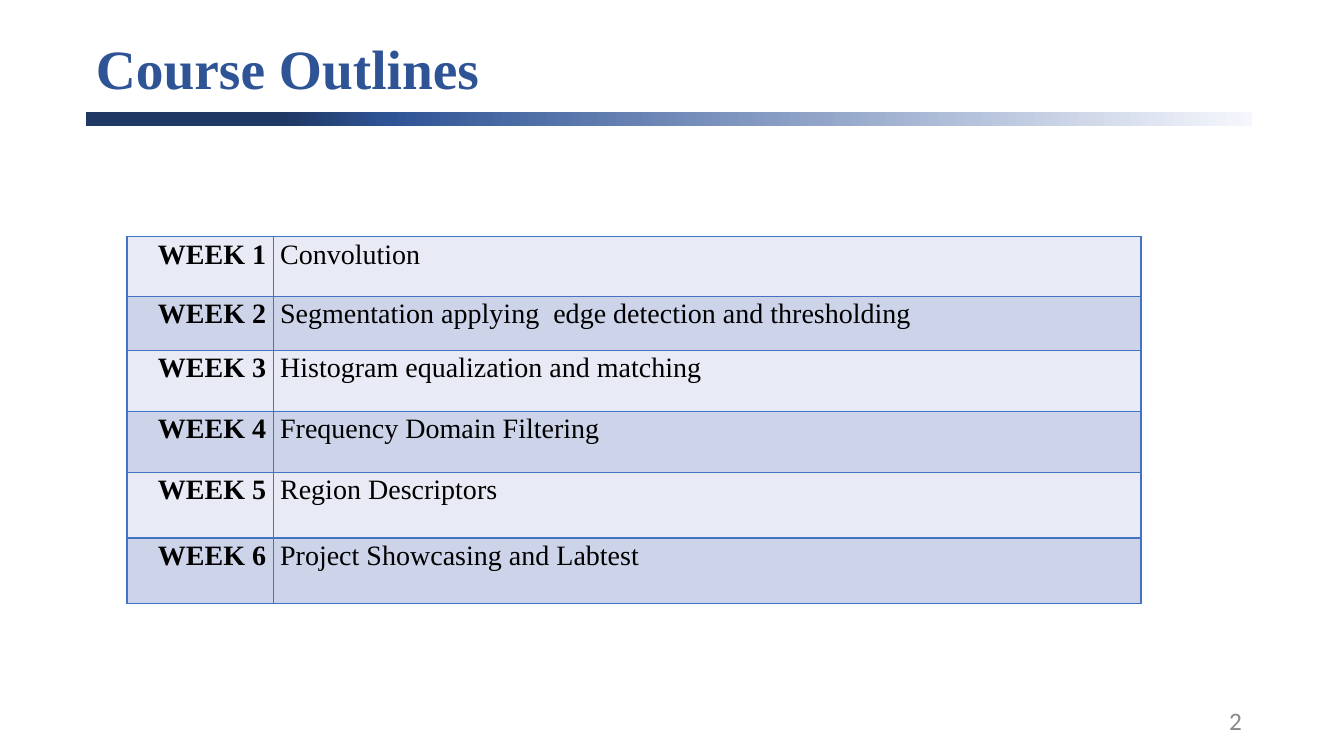
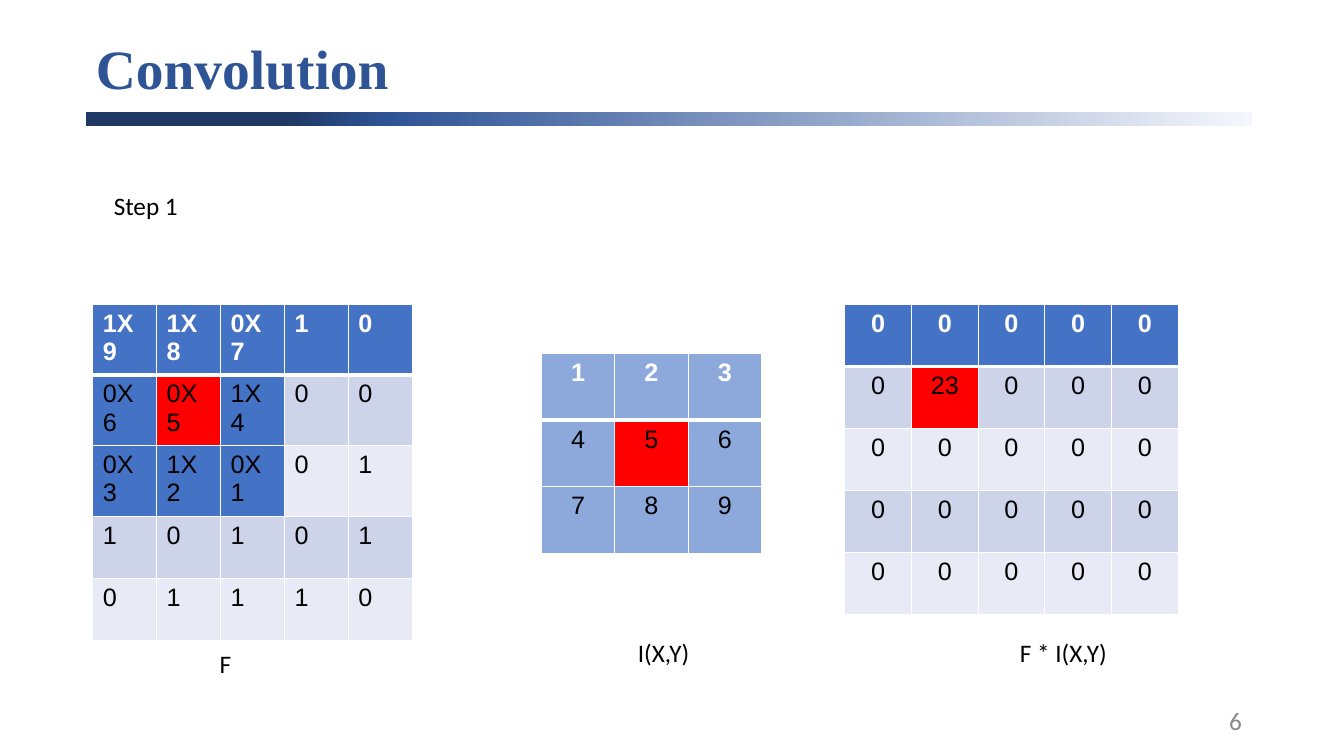
"""Build two slides of an image processing course: outline and convolution step."""
from lxml.etree import SubElement
from pptx import Presentation
from pptx.dml.color import RGBColor as Rgb
from pptx.enum.shapes import MSO_SHAPE as Shape
from pptx.enum.text import MSO_ANCHOR as Anchor, MSO_AUTO_SIZE as Auto, PP_ALIGN as Align
from pptx.oxml.ns import qn
from pptx.util import Inches, Pt

WIDE, HIGH = Inches(13.333), Inches(7.5)
INK = {
    "title": "2F5496", "navy": "1F3864", "haze": "F5F7FC", "blue": "4472C4",
    "sky": "8DA9DB", "light": "E8EBF5", "dark": "CDD4EA", "red": "FF0000",
    "white": "FFFFFF", "black": "000000", "grey": "888888",
}
FADE = [(0, "navy"), (17, "navy"), (26, "title"), (100, "haze")]
WEEKS = [
    "Convolution",
    "Segmentation applying  edge detection and thresholding",
    "Histogram equalization and matching",
    "Frequency Domain Filtering",
    "Region Descriptors",
    "Project Showcasing and Labtest",
]
IMAGE = ["1X9 1X8 0X7 1 0", "0X6 0X5 1X4 0 0", "0X3 1X2 0X1 0 1",
         "1 0 1 0 1", "0 1 1 1 0"]
MASK = ["1 2 3", "4 5 6", "7 8 9"]
ZERO = "0 0 0 0 0"
RESULT = [ZERO, "0 23 0 0 0", ZERO, ZERO, ZERO]


def place(x, y, w, h):
    """Turn percentages of the slide into a box."""
    return (int(WIDE * x / 100), int(HIGH * y / 100),
            int(WIDE * w / 100), int(HIGH * h / 100))


def write(frame, text, face, size, ink="black", bold=False, align=Align.LEFT, gap=None):
    """Put one styled paragraph into a text frame."""
    para = frame.paragraphs[0]
    para.text = text
    para.alignment = align
    para.line_spacing = gap
    font = para.font
    font.name, font.size, font.bold = face, Pt(size), bold
    font.color.rgb = Rgb.from_string(INK[ink])


def label(slide, text, box, ink="black", align=Align.LEFT, anchor=Anchor.TOP):
    """Add a one-line caption."""
    frame = slide.shapes.add_textbox(*place(*box)).text_frame
    frame.word_wrap = False
    frame.vertical_anchor = anchor
    write(frame, text, "Calibri", 18, ink, align=align)


def fade(shape):
    """Fill a shape with the shared colour fade."""
    shape.fill.gradient()
    shape.fill.gradient_angle = 0
    stops = shape.fill._xPr.find(".//" + qn("a:gsLst"))
    for stop in list(stops):
        stops.remove(stop)
    for pos, ink in FADE:
        stop = SubElement(stops, qn("a:gs"), pos=str(pos * 1000))
        SubElement(stop, qn("a:srgbClr"), val=INK[ink])


def begin(deck, title, number):
    """Add a slide with its title, bar and number."""
    slide = deck.slides.add_slide(deck.slide_layouts[5])
    bar = slide.shapes.add_shape(Shape.RECTANGLE, *place(6.38, 14.8, 86.78, 1.87))
    bar.shadow.inherit = False
    bar.line.fill.background()
    fade(bar)
    head = slide.shapes.title
    head.left, head.top, head.width, head.height = place(6.38, 4.8, 86.25, 9.2)
    frame = head.text_frame
    frame.word_wrap, frame.auto_size = True, Auto.NONE
    frame.vertical_anchor = Anchor.MIDDLE
    write(frame, title, "Times New Roman", 39.6, "title", True, gap=0.9)
    label(slide, str(number), (70.65, 92.67, 22.5, 5.33), "grey", Align.RIGHT, Anchor.MIDDLE)
    return slide


def edge(cell, ink, top=1, low=1):
    """Draw the four borders of a cell."""
    props = cell._tc.get_or_add_tcPr()
    for spot, (side, wide) in enumerate((("L", 1), ("R", 1), ("T", top), ("B", low))):
        line = SubElement(props, qn("a:ln" + side), w=str(Pt(wide)))
        fill = SubElement(line, qn("a:solidFill"))
        SubElement(fill, qn("a:srgbClr"), val=INK[ink])
        props.insert(spot, line)


def paint(cell, ink):
    """Fill a cell with one colour."""
    cell.fill.solid()
    cell.fill.fore_color.rgb = Rgb.from_string(INK[ink])


def band(row):
    """Name the colour of a banded row."""
    return "dark" if row % 2 else "light"


def grid(slide, box, cols, rows):
    """Add a table whose columns and rows share the box by weight."""
    x, y, w, h = place(*box)
    table = slide.shapes.add_table(len(rows), len(cols), x, y, w, h).table
    for col, part in zip(table.columns, cols):
        col.width = int(w * part / sum(cols))
    for row, part in zip(table.rows, rows):
        row.height = int(h * part / sum(rows))
    return table


def plan(slide, box):
    """Add the table of weekly topics."""
    table = grid(slide, box, [145, 861], [59, 54, 60, 61, 65, 65])
    table.first_row = False
    for r, topic in enumerate(WEEKS):
        for c, text in enumerate((f"WEEK {r + 1}", topic)):
            cell = table.cell(r, c)
            cell.margin_left = cell.margin_right = Pt(5)
            cell.margin_top = cell.margin_bottom = 0
            write(cell.text_frame, text, "Times New Roman", 20, bold=c == 0,
                  align=Align.LEFT if c else Align.RIGHT, gap=1.07)
            paint(cell, band(r))
            edge(cell, "blue")


def matrix(slide, box, data, hue="blue", span=0, align=Align.CENTER):
    """Add a number matrix with a tinted window and a red centre."""
    lines = [line.split() for line in data]
    table = grid(slide, box, [1] * len(lines[0]), [1] * len(lines))
    for r, line in enumerate(lines):
        for c, text in enumerate(line):
            cell, head = table.cell(r, c), r == 0
            write(cell.text_frame, text, "Arial", 18, "white" if head else "black", head, align)
            tint = hue if head or max(r, c) < span else band(r)
            paint(cell, "red" if (r, c) == (1, 1) else tint)
            edge(cell, "white", 3 if r == 1 else 1, 3 if head else 1)


def main():
    """Build and save the deck."""
    deck = Presentation()
    deck.slide_width, deck.slide_height = WIDE, HIGH
    plan(begin(deck, "Course Outlines", 2), (9.45, 31.33, 75.45, 48.53))
    step = begin(deck, "Convolution", 6)
    label(step, "Step 1", (7.73, 24.53, 6.3, 5.33))
    matrix(step, (6.9, 40.27, 23.78, 41), IMAGE, span=3, align=Align.LEFT)
    matrix(step, (40.28, 46.8, 16.38, 26.4), MASK, "sky", 3)
    matrix(step, (62.85, 40.27, 24.83, 41), RESULT)
    label(step, "F", (15.6, 85.07, 2.4, 5.33))
    label(step, "I(X,Y)", (46.73, 83.6, 5.4, 5.33))
    label(step, "F * I(X,Y)", (75.15, 83.6, 8.1, 5.33))
    deck.save("out.pptx")


if __name__ == "__main__":
    main()
